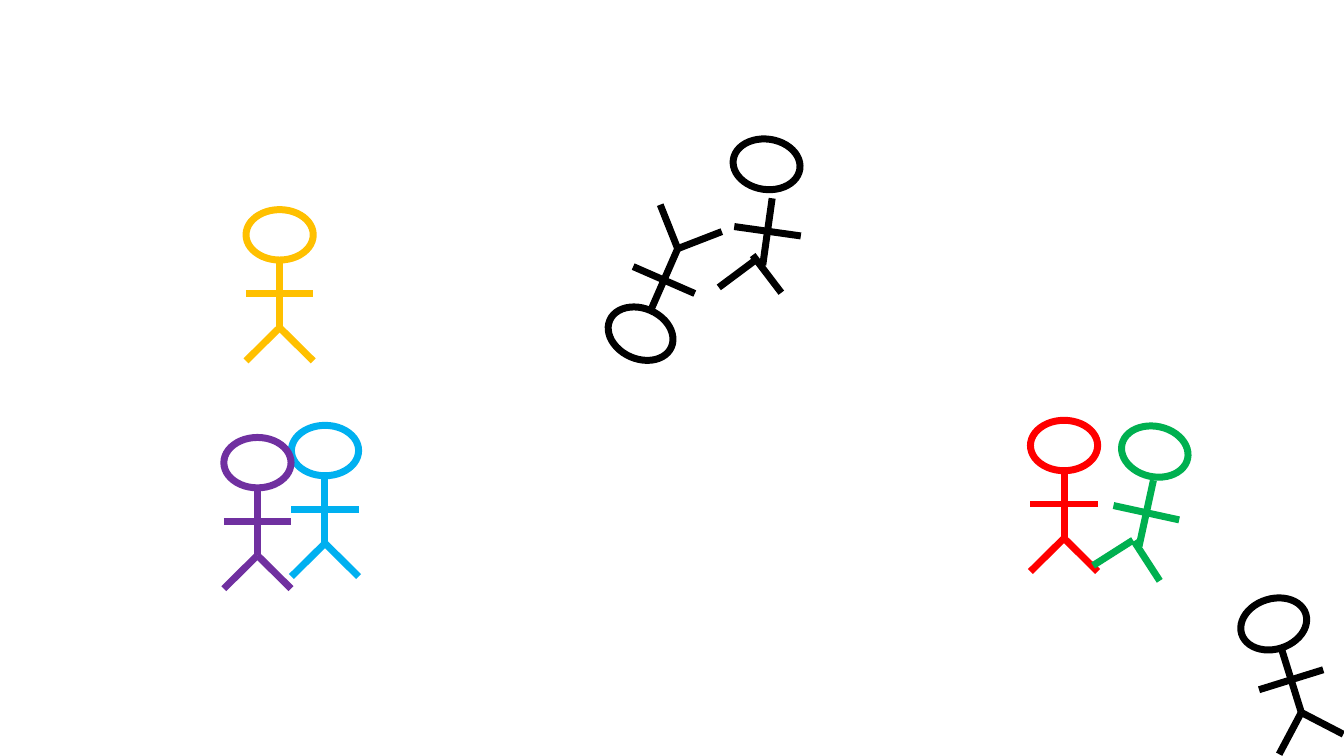
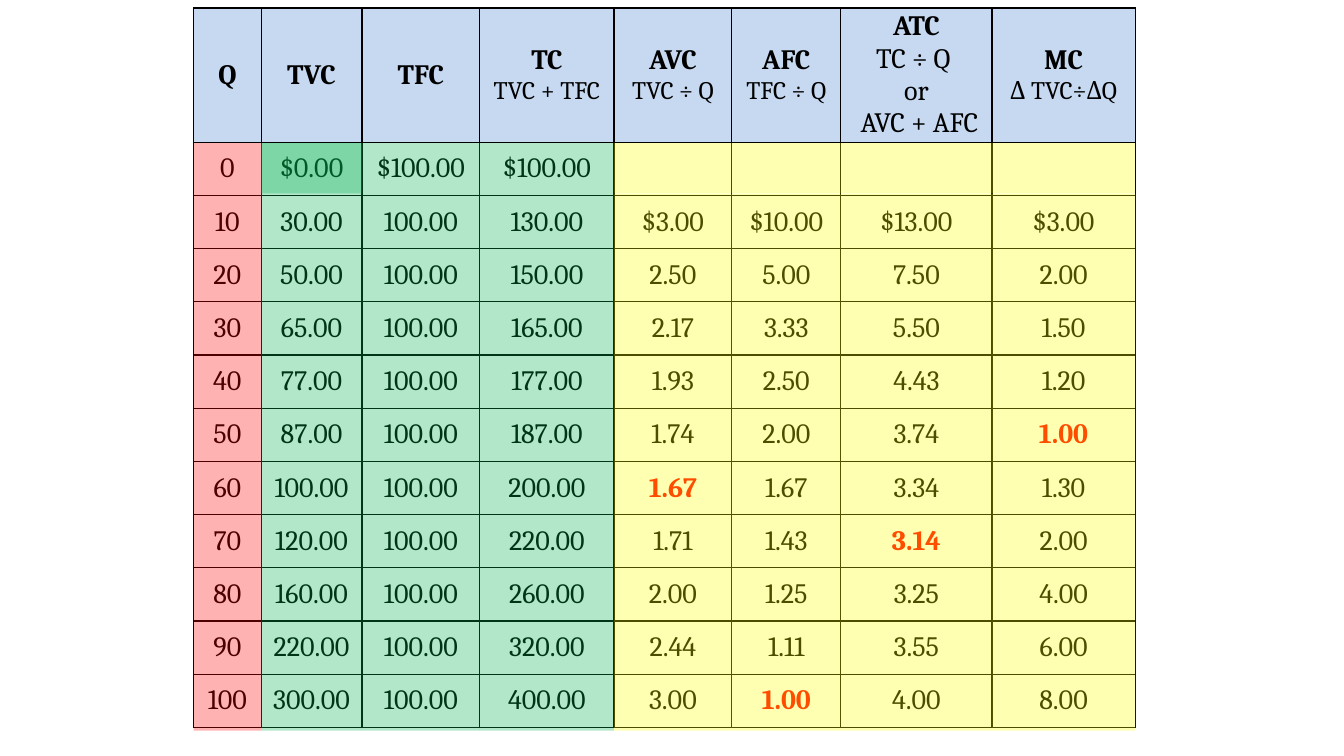
import itertools
import math

import lxml.etree
import pptx
import pptx.dml.color
import pptx.enum.shapes
import pptx.enum.text
import pptx.oxml.ns
import pptx.util

Inches = pptx.util.Inches
Pt = pptx.util.Pt
SHAPE = pptx.enum.shapes.MSO_SHAPE
BLACK, RED, GREEN, YELLOW, HEADER = "000000", "FF0000", "00B050", "FFFF00", "C6D9F1"
FONT = "Cambria"
HALF = 1 / 3

FIGURES = [
    (6.02, 3.06, BLACK, 203.6, (0, 0, 0)),
    (2.44, 2.08, "FFC000", 0, (0, 0, 0)),
    (10.22, 4.17, RED, 0, (0, 0, 0)),
    (2.89, 4.22, "00B0F0", 0, (0, 0, 0)),
    (11.12, 4.23, GREEN, 12.3, (0.04, -0.02, -0.01)),
    (7.27, 1.38, BLACK, 8, (0.09, 0.03, -0.01)),
    (2.22, 4.34, "7030A0", 0, (0, 0, 0)),
    (12.3, 5.94, BLACK, 342.7, (0, 0, 0)),
]

WIDTHS = [0.67, 1, 1.17, 1.33, 1.17, 1.08, 1.5, 1.42]
HEADS = [
    ["Q"], ["TVC"], ["TFC"], ["TC", "TVC + TFC"], ["AVC", "TVC ÷ Q"],
    ["AFC", "TFC ÷ Q"], ["ATC", "TC ÷ Q ", "or", " AVC + AFC"], ["MC", "Δ TVC÷ΔQ"],
]
COSTS = [row.split() for row in """\
0 $0.00 $100.00 $100.00
10 30.00 100.00 130.00 $3.00 $10.00 $13.00 $3.00
20 50.00 100.00 150.00 2.50 5.00 7.50 2.00
30 65.00 100.00 165.00 2.17 3.33 5.50 1.50
40 77.00 100.00 177.00 1.93 2.50 4.43 1.20
50 87.00 100.00 187.00 1.74 2.00 3.74 1.00
60 100.00 100.00 200.00 1.67 1.67 3.34 1.30
70 120.00 100.00 220.00 1.71 1.43 3.14 2.00
80 160.00 100.00 260.00 2.00 1.25 3.25 4.00
90 220.00 100.00 320.00 2.44 1.11 3.55 6.00
100 300.00 100.00 400.00 3.00 1.00 4.00 8.00""".splitlines()]


def color(value):
    """Turn a hex string into a colour."""
    return pptx.dml.color.RGBColor.from_string(value)


def child(parent, tag, **attrs):
    """Append a DrawingML element to a parent."""
    return lxml.etree.SubElement(parent, pptx.oxml.ns.qn(tag), attrs)


def stroke(shape, tint):
    """Give a shape the thick outline of the figures."""
    shape.line.color.rgb = color(tint)
    shape.line.width = Pt(5)


def figure(slide, left, top, tint, angle, drift):
    """Draw a stick figure turned about the centre of its head."""
    group = slide.shapes.add_group_shape()
    head = group.shapes.add_shape(
        SHAPE.OVAL, Inches(left), Inches(top), Inches(2 * HALF), Inches(0.5))
    head.rotation = angle
    head.shadow.inherit = False
    head.fill.background()
    stroke(head, tint)
    sin, cos = math.sin(math.radians(angle)), math.cos(math.radians(angle))

    def spot(x, y, shift):
        """Place a point given from the centre of the head."""
        return (Inches(left + HALF + x * cos - y * sin + shift),
                Inches(top + 0.25 + x * sin + y * cos + shift))

    trunk, near, far = drift
    hip, foot, arm = 0.92, 1.25, 0.58
    limbs = [
        ((0, 0.25), (0, hip), trunk),
        ((0, hip), (-HALF, foot), near),
        ((0, hip), (HALF, foot), far),
        ((-HALF, arm), (HALF, arm), trunk),
    ]
    for start, end, shift in limbs:
        limb = group.shapes.add_connector(
            pptx.enum.shapes.MSO_CONNECTOR.STRAIGHT,
            *spot(*start, shift), *spot(*end, shift))
        stroke(limb, tint)
        child(limb.element.spPr, "a:effectLst")


def border(cell):
    """Draw a thin black line on each side of a cell."""
    props = cell._tc.get_or_add_tcPr()
    for side in ("a:lnL", "a:lnR", "a:lnT", "a:lnB"):
        line = child(props, side, w=str(Pt(1)))
        child(child(line, "a:solidFill"), "a:srgbClr", val=BLACK)


def write(cell, lines, sizes, bold, tint):
    """Fill a cell with centred lines, the first of them bold on demand."""
    cell.vertical_anchor = pptx.enum.text.MSO_ANCHOR.MIDDLE
    cell.margin_left = cell.margin_right = Inches(0.06)
    cell.margin_top = cell.margin_bottom = 0
    cell.text = "\n".join(lines)
    for i, (para, size) in enumerate(zip(cell.text_frame.paragraphs, sizes)):
        para.alignment = pptx.enum.text.PP_ALIGN.CENTER
        para.font.name = FONT
        para.font.size = Pt(size)
        para.font.bold = bold and i == 0
        para.font.color.rgb = color(tint)


def lowest(col):
    """Find the row that holds the least value of a column."""
    rows = [i for i, row in enumerate(COSTS) if col < len(row)]
    return min(rows, key=lambda i: float(COSTS[i][col].lstrip("$")))


def grid(slide, left, top):
    """Place the cost table and mark the least average and marginal costs."""
    frame = slide.shapes.add_table(
        len(COSTS) + 1, len(WIDTHS), Inches(left), Inches(top),
        Inches(sum(WIDTHS)), Inches(7.14))
    table = frame.table
    table.first_row = table.horz_banding = False
    for col, width in zip(table.columns, WIDTHS):
        col.width = Inches(width)
    for i, row in enumerate(table.rows):
        row.height = Inches(0.528 if i else 1.33)
    for cell in table.iter_cells():
        border(cell)
        cell.fill.background()
    for j, lines in enumerate(HEADS):
        cell = table.cell(0, j)
        rest = 18 if len(lines) == 2 else 20
        write(cell, lines, [20] + [rest] * (len(lines) - 1), True, BLACK)
        cell.fill.solid()
        cell.fill.fore_color.rgb = color(HEADER)
    marks = {(lowest(j), j) for j in range(4, len(WIDTHS))}
    for i, row in enumerate(COSTS):
        for j, text in enumerate(row):
            mark = (i, j) in marks
            write(table.cell(i + 1, j), [text], [20], mark, RED if mark else BLACK)


def veil(slide, left, top, width, height, tint):
    """Lay a see-through block over part of the table."""
    block = slide.shapes.add_shape(
        SHAPE.RECTANGLE, Inches(left), Inches(top), Inches(width), Inches(height))
    block.shadow.inherit = False
    block.line.fill.background()
    block.fill.solid()
    block.fill.fore_color.rgb = color(tint)
    shade = block.element.spPr.find(".//" + pptx.oxml.ns.qn("a:srgbClr"))
    child(shade, "a:alpha", val="30000")


def veils(slide, left, top):
    """Tint the table columns from the first body row down."""
    edges = list(itertools.accumulate(WIDTHS, initial=left))
    first, full = 0.5, 5.83
    veil(slide, left, top, WIDTHS[0], full, RED)
    veil(slide, edges[1], top, WIDTHS[1], first, GREEN)
    for j in range(1, 4):
        veil(slide, edges[j], top, WIDTHS[j], full, GREEN)
    veil(slide, edges[4], top, sum(WIDTHS[4:]), first, YELLOW)
    for j in range(4, len(WIDTHS)):
        veil(slide, edges[j], top + first, WIDTHS[j], full - first, YELLOW)


def main():
    """Build both slides and save them."""
    deck = pptx.Presentation()
    deck.slide_width, deck.slide_height = Inches(13.33), Inches(7.5)
    blank = deck.slide_layouts[6]
    people = deck.slides.add_slide(blank)
    for person in FIGURES:
        figure(people, *person)
    costs = deck.slides.add_slide(blank)
    grid(costs, 1.92, 0.08)
    veils(costs, 1.92, 1.42)
    deck.save("out.pptx")


if __name__ == "__main__":
    main()
